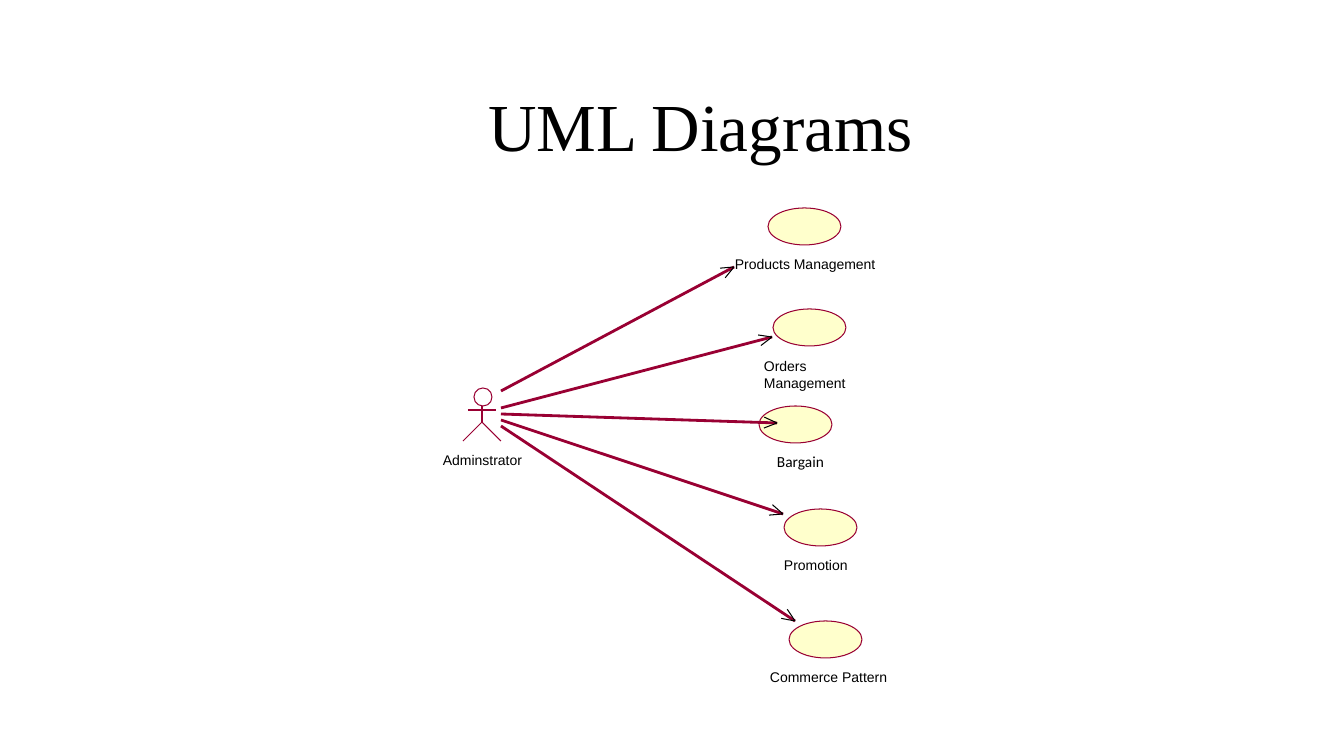
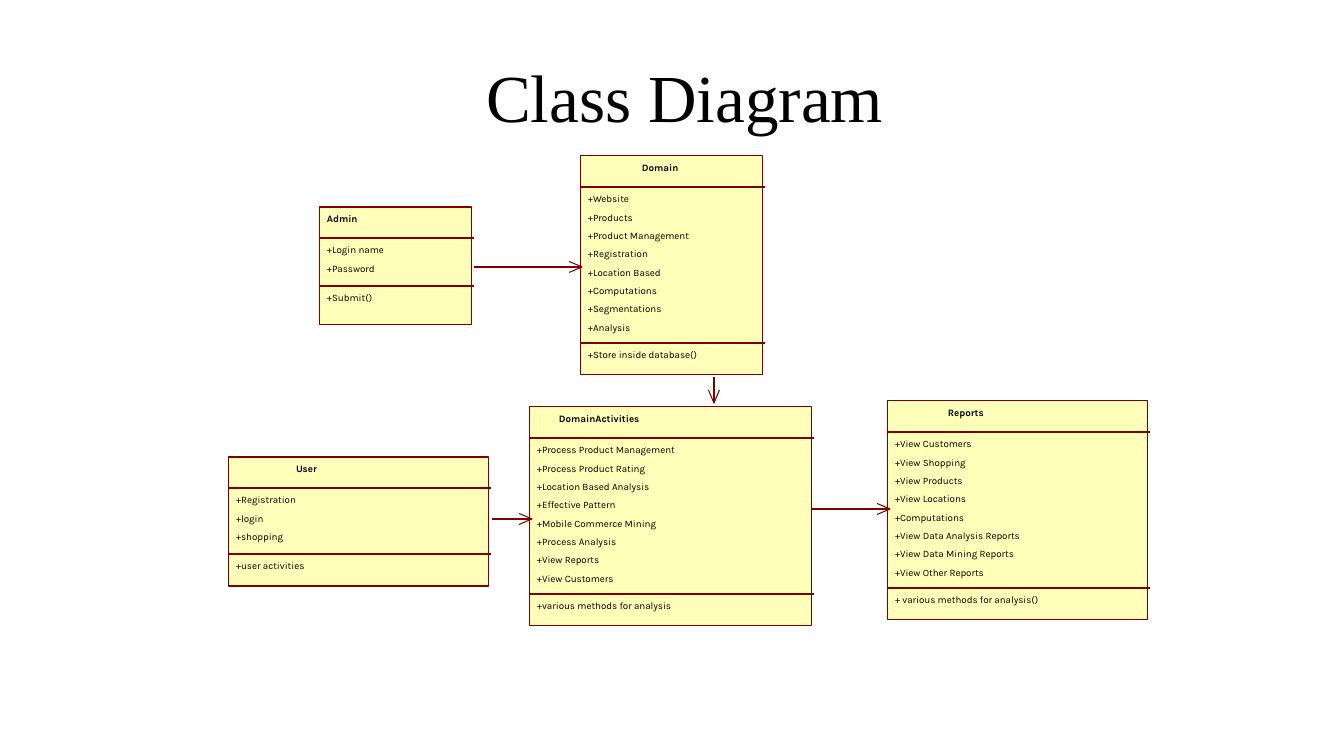
from math import atan2, cos, radians, sin

from lxml.etree import SubElement
from pptx import Presentation
from pptx.dml.color import RGBColor
from pptx.enum.shapes import MSO_CONNECTOR, MSO_SHAPE
from pptx.enum.text import MSO_ANCHOR, PP_ALIGN
from pptx.oxml.ns import qn
from pptx.util import Pt

PX = 914400 / 100.8  # EMU in one px
rgb = RGBColor.from_string

BLACK = "000000"
CRIMSON, CREAM = "990033", "FFFFCC"  # use case diagram
MAROON, YELLOW = "800000", "FFFFB9"  # class diagram


def add_box(slide, kind, box, fill, color):
    sp = slide.shapes.add_shape(kind, *[round(v * PX) for v in box])
    sp.shadow.inherit = False
    if fill:
        sp.fill.solid()
        sp.fill.fore_color.rgb = rgb(fill)
    else:
        sp.fill.background()
    sp.line.color.rgb = rgb(color)
    sp.line.width = 0


def add_line(slide, points, color):
    """Two points make a connector, more make an open outline."""
    pts = [(round(x * PX), round(y * PX)) for x, y in points]
    if len(pts) == 2:
        sp = slide.shapes.add_connector(MSO_CONNECTOR.STRAIGHT, *pts[0], *pts[1])
    else:
        fb = slide.shapes.build_freeform(*pts[0])
        fb.add_line_segments(pts[1:], close=False)
        sp = fb.convert_to_shape()
        sp.fill.background()
        sp.shadow.inherit = False
    sp.line.color.rgb = rgb(color)
    sp.line.width = 0
    if len(pts) == 2:
        SubElement(sp._element.spPr, qn("a:effectLst"))


prs = Presentation()
prs.slide_width, prs.slide_height = round(1344 * PX), round(756 * PX)

# Slides and their titles
slides = []
for title, x, y in [("UML Diagrams", 478, 79), ("Class Diagram", 476, 50)]:
    slide = prs.slides.add_slide(prs.slide_layouts[5])
    sp = slide.shapes.title
    sp.left, sp.top = round(x * PX), round(y * PX)
    sp.width, sp.height = round(756 * PX), round(92 * PX)
    tf = sp.text_frame
    tf.vertical_anchor = MSO_ANCHOR.TOP
    p = tf.paragraphs[0]
    p.alignment = PP_ALIGN.LEFT
    r = p.add_run()
    r.text = title
    r.font.name, r.font.size = "Times New Roman", Pt(48)
    r.font.color.rgb = rgb(BLACK)
    slides.append(slide)
use_slide, class_slide = slides

labels = []  # slide, x, y, width, lines, font, size, bold

# Use cases: oval position, then label position, width, text and font
use_cases = [
    (768, 208, 735, 256, 150, "Products Management", "Arial", 10),
    (773, 309, 764, 358, 100, "Orders Management", "Arial", 10),
    (759, 406, 777, 452, 150, "Bargain", "Calibri", 11),
    (784, 509, 784, 557, 150, "Promotion", "Arial", 10),
    (789, 621, 770, 669, 150, "Commerce Pattern", "Arial", 10),
]
for x, y, lx, ly, w, name, font, size in use_cases:
    add_box(use_slide, MSO_SHAPE.OVAL, (x, y, 73, 37), CREAM, CRIMSON)
    labels.append((use_slide, lx, ly, w, [name], font, size, False))

# Actor: head, body, arms, legs
add_box(use_slide, MSO_SHAPE.OVAL, (474, 388, 18, 18), None, CRIMSON)
for limb in [
    [(482, 406), (482, 422)],
    [(468, 410), (496, 410)],
    [(463, 441), (482, 422), (501, 441)],
]:
    add_line(use_slide, limb, CRIMSON)
labels.append((use_slide, 443, 452, 100, ["Adminstrator"], "Arial", 10, False))

# Classes: box, name position, name, attributes, method
classes = [
    (320, 207, 152, 118, 327, "Admin", ["+Login name", "+Password"], "+Submit()"),
    (581, 156, 182, 219, 642, "Domain",
     ["+Website", "+Products", "+Product Management", "+Registration",
      "+Location Based", "+Computations", "+Segmentations", "+Analysis"],
     "+Store inside database()"),
    (888, 401, 260, 219, 948, "Reports",
     ["+View Customers", "+View Shopping", "+View Products", "+View Locations",
      "+Computations", "+View Data Analysis Reports",
      "+View Data Mining Reports", "+View Other Reports"],
     "+ various methods for analysis()"),
    (530, 407, 282, 219, 559, "DomainActivities",
     ["+Process Product Management", "+Process Product Rating",
      "+Location Based Analysis", "+Effective Pattern",
      "+Mobile Commerce Mining", "+Process Analysis", "+View Reports",
      "+View Customers"],
     "+various methods for analysis"),
    (229, 457, 260, 129, 296, "User", ["+Registration", "+login", "+shopping"],
     "+user activities"),
]
for x, y, w, h, name_x, name, attributes, method in classes:
    add_box(class_slide, MSO_SHAPE.RECTANGLE, (x, y, w, h), YELLOW, MAROON)
    rule_1 = y + 31
    rule_2 = rule_1 + 12 + 18 * len(attributes)
    for rule in (rule_1, rule_2):
        add_line(class_slide, [(x, rule), (x + w + 2, rule)], MAROON)
    for lx, ly, lines, bold in [
        (name_x, y + 6, [name], True),
        (x + 7, rule_1 + 6, attributes, False),
        (x + 7, rule_2 + 6, [method], False),
    ]:
        labels.append((class_slide, lx, ly, x + w - lx, lines, "Karla", 7, bold))

# Arrows: start and tip, with an open head
use_arrows = [
    (501, 391, 734, 267),
    (501, 408, 772, 337),
    (501, 414, 777, 423),
    (501, 420, 783, 514),
    (501, 426, 795, 621),
]
class_arrows = [
    (474, 267, 582, 267),
    (714, 377, 714, 403),
    (812, 509, 890, 509),
    (492, 519, 532, 519),
]
for slide, arrows, color, head_color in [
    (use_slide, use_arrows, CRIMSON, BLACK),
    (class_slide, class_arrows, MAROON, MAROON),
]:
    for x1, y1, x2, y2 in arrows:
        add_line(slide, [(x1, y1), (x2, y2)], color)
        angle = atan2(y2 - y1, x2 - x1)
        barb_1, barb_2 = [
            (x2 - 14 * cos(angle + turn), y2 - 14 * sin(angle + turn))
            for turn in (radians(23), radians(-23))
        ]
        add_line(slide, [barb_1, (x2, y2), barb_2], head_color)

# Labels of both diagrams
for slide, x, y, w, lines, font, size, bold in labels:
    sp = slide.shapes.add_textbox(
        *[round(v * PX) for v in (x, y, w, 18 * len(lines))])
    tf = sp.text_frame
    tf.word_wrap = True
    tf.margin_left = tf.margin_top = tf.margin_right = tf.margin_bottom = 0
    for i, line in enumerate(lines):
        p = tf.add_paragraph() if i else tf.paragraphs[0]
        if len(lines) > 1:
            p.space_after = Pt(4.7)
        r = p.add_run()
        r.text = line
        r.font.name, r.font.size, r.font.bold = font, Pt(size), bold
        r.font.color.rgb = rgb(BLACK)

prs.save("out.pptx")
